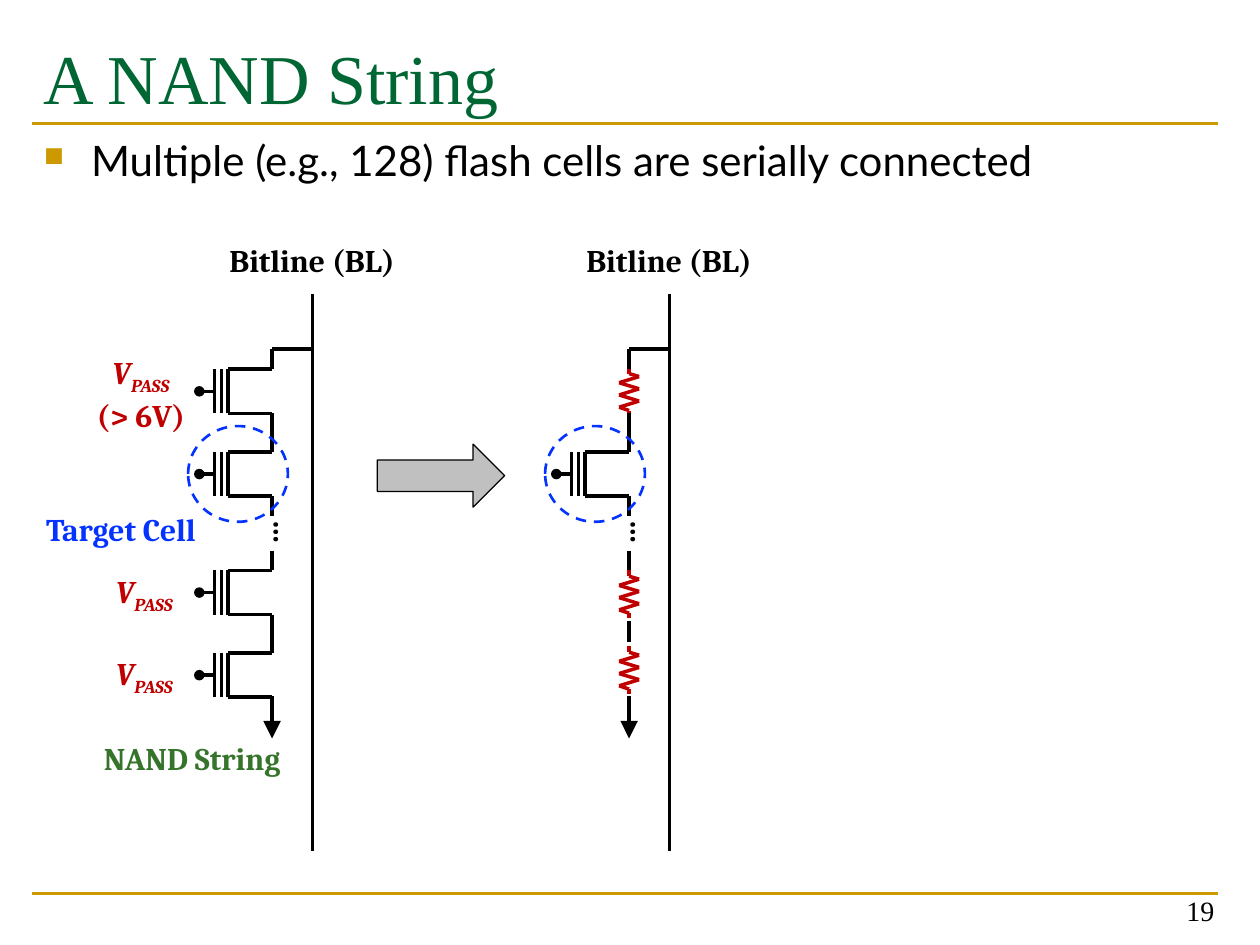
from dataclasses import dataclass
from itertools import pairwise

from lxml.etree import SubElement
from pptx import Presentation
from pptx.dml.color import RGBColor
from pptx.enum.dml import MSO_LINE
from pptx.enum.shapes import MSO_CONNECTOR, MSO_SHAPE
from pptx.enum.text import MSO_ANCHOR, PP_ALIGN
from pptx.oxml.ns import qn
from pptx.util import Pt


@dataclass(frozen=True)
class Theme:
    gold: str = "CC9900"
    green: str = "006633"
    leaf: str = "35742A"
    black: str = "000000"
    red: str = "C00000"
    blue: str = "0432FF"
    gray: str = "C0C0C0"
    serif: str = "Times New Roman"
    sans: str = "Lato"
    label: str = "Cambria"
    title: int = 40
    body: int = 24
    note: int = 18
    page: int = 16
    wire: float = 2
    rule: float = 1.5
    thin: float = 0.75


T = Theme()
CELL = 25.2       # height of a transistor
COIL = 27.4       # height of a resistor
DROP = 23         # from the bitline to the string


def rgb(code):
    return RGBColor.from_string(code)


def line(slide, x1, y1, x2, y2, color=T.black, width=T.wire, end=None, size="med"):
    """Draw a straight line, with an optional arrowhead at its second point."""
    link = slide.shapes.add_connector(
        MSO_CONNECTOR.STRAIGHT, Pt(x1), Pt(y1), Pt(x2), Pt(y2))
    link.line.color.rgb = rgb(color)
    link.line.width = Pt(width)
    if end:
        SubElement(link.line._get_or_add_ln(), qn("a:tailEnd"),
                   type=end, w=size, len=size)
    SubElement(link._element.spPr, qn("a:effectLst"))


def style(para, face, size, color, bold=False, italic=False):
    font = para.font
    font.name, font.size = face, Pt(size)
    font.bold, font.italic = bold, italic
    font.color.rgb = rgb(color)


def frame(slide, x, y, w, h, anchor=MSO_ANCHOR.TOP, wrap=True):
    """Add a text box; return it with its text frame."""
    box = slide.shapes.add_textbox(Pt(x), Pt(y), Pt(w), Pt(h))
    text = box.text_frame
    text.word_wrap = wrap
    text.vertical_anchor = anchor
    return box, text


def label(slide, x, y, w, h, words, color=T.black):
    box, text = frame(slide, x, y, w, h, MSO_ANCHOR.MIDDLE, wrap=False)
    para = text.paragraphs[0]
    para.text = words
    para.alignment = PP_ALIGN.CENTER
    style(para, T.label, T.note, color, bold=True)
    return box


def volt(slide, x, y, w, h, extra=None):
    """Label a gate with its pass voltage and, if given, a second line."""
    text = label(slide, x, y, w, h, "V", T.red).text_frame
    para = text.paragraphs[0]
    para.font.italic = True
    sub = para.add_run()
    sub.text = "PASS"
    sub._r.get_or_add_rPr().set("baseline", "-25000")
    if extra:
        more = text.add_paragraph()
        more.text = extra
        more.alignment = PP_ALIGN.CENTER
        style(more, T.label, T.note, T.red, bold=True)


def cell(slide, x, y):
    """Draw a flash cell whose source and drain end at x, from y down."""
    low, mid = y + CELL, y + CELL / 2
    for side in (y, low):
        line(slide, x, side, x - 25.2, side)
    for gap in (25.2, 29, 33):
        line(slide, x - gap, y, x - gap, low)
    line(slide, x - 33, mid, x - 41.6, mid, end="oval")


def coil(slide, x, y):
    """Draw a resistor centred on x, from y down."""
    wide, step = 5.7, 3.5
    turns = [(x + wide * (-1) ** i, y + 5 + step * i) for i in range(6)]
    path = [(x, y), (x, y + 3.3), *turns, (x, y + COIL - 3), (x, y + COIL)]
    for a, b in pairwise(path):
        line(slide, *a, *b, color=T.red)


def string(slide, x, parts, wires):
    """Draw a string hanging from a bitline at x."""
    drain = x - DROP
    label(slide, x - 56, 134, 111.6, 28.8, "Bitline (BL)")
    line(slide, x, 486, x, 168)
    line(slide, x, 199.5, drain, 199.5)
    for draw, top in parts:
        draw(slide, drain, top)
    for top, low in wires:
        line(slide, drain, top, drain, low)
    line(slide, drain, 398, drain, 422, end="triangle", size="lg")
    dots = label(slide, drain - 16.4, 293, 25.2, 25.2, "…")
    dots.rotation = 270
    ring = slide.shapes.add_shape(
        MSO_SHAPE.OVAL, Pt(x - 71), Pt(243.5), Pt(57), Pt(54.7))
    ring.shadow.inherit = False
    ring.fill.background()
    ring.line.color.rgb = rgb(T.blue)
    ring.line.width = Pt(T.rule)
    ring.line.dash_style = MSO_LINE.DASH


def arrow(slide, x, y, w, h):
    shape = slide.shapes.add_shape(MSO_SHAPE.UP_ARROW, Pt(x), Pt(y), Pt(w), Pt(h))
    shape.rotation = 90
    shape.shadow.inherit = False
    shape.fill.solid()
    shape.fill.fore_color.rgb = rgb(T.gray)
    shape.line.color.rgb = rgb(T.black)
    shape.line.width = Pt(T.thin)


def head(slide, x, y, w, h):
    text = frame(slide, x, y, w, h)[1]
    text.margin_top = Pt(8)
    para = text.paragraphs[0]
    para.text = "A NAND String"
    style(para, T.serif, T.title, T.green)
    line(slide, x, 70.5, x + w, 70.5, T.gold, T.rule)


def body(slide, x, y, w, h):
    text = frame(slide, x, y, w, h)[1]
    text.margin_top = Pt(5)
    para = text.paragraphs[0]
    para.text = "Multiple (e.g., 128) flash cells are serially connected"
    props = para._p.get_or_add_pPr()
    props.set("marL", str(Pt(27)))
    props.set("indent", str(-Pt(27)))
    SubElement(SubElement(props, qn("a:buClr")), qn("a:srgbClr"), val=T.gold)
    SubElement(props, qn("a:buSzPct"), val="65000")
    SubElement(props, qn("a:buChar"), char="■")
    style(para, T.sans, T.body, T.black)


def foot(slide, x, y, w, h):
    line(slide, x, y, x + w, y, T.gold, T.rule)
    text = frame(slide, x + w - 163, y - 13, 168, h, MSO_ANCHOR.BOTTOM)[1]
    para = text.paragraphs[0]
    para.text = "19"
    para.alignment = PP_ALIGN.RIGHT
    style(para, T.serif, T.page, T.black)


def main():
    deck = Presentation()
    deck.slide_width, deck.slide_height = Pt(720), Pt(540)
    slide = deck.slides.add_slide(deck.slide_layouts[6])
    head(slide, 18, 12, 678, 84)
    body(slide, 18, 72, 678, 438)
    foot(slide, 18, 510.5, 678, 36)

    one, two, three, four = 211, 258.3, 326, 373.2
    joints = [(199.5, one), (one + CELL, two), (two + CELL, 295), (314.6, three)]
    string(slide, 178.5, [(cell, top) for top in (one, two, three, four)],
           joints + [(three + CELL, four)])
    string(slide, 382.5,
           [(coil, 210.2), (cell, two), (coil, three), (coil, 369.4)],
           joints + [(355, 367)])

    volt(slide, 47.5, 199.5, 66.2, 51, "(> 6V)")
    for top in (324.7, 371.5):
        volt(slide, 57, top, 51, 28.8)
    label(slide, 17.3, 288, 103.7, 28.8, "Target Cell", T.blue)
    label(slide, 25.2, 419, 169.2, 28.8, "NAND String", T.leaf)
    arrow(slide, 234, 235.5, 36, 72.7)
    deck.save("out.pptx")


if __name__ == "__main__":
    main()
